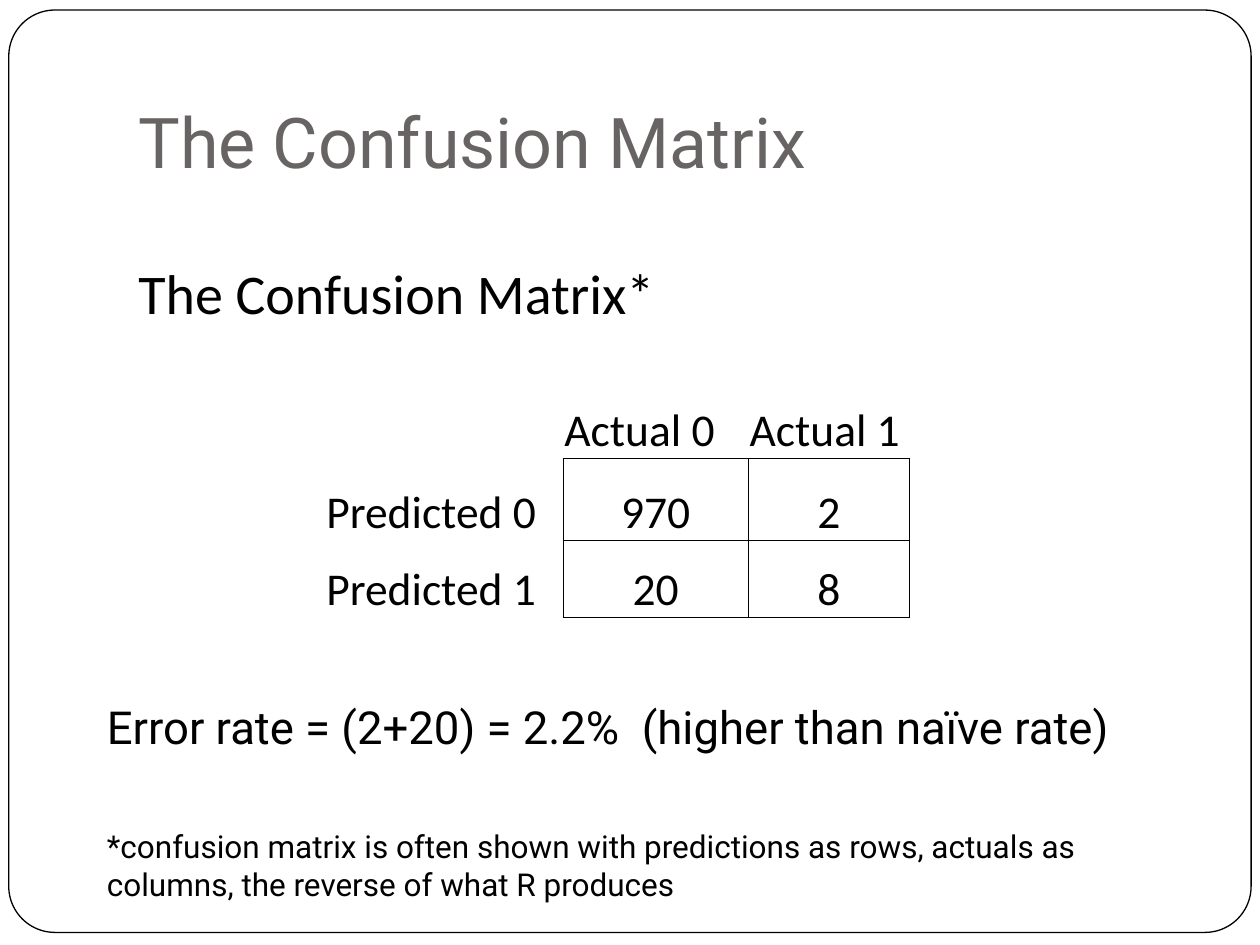
"""Build the confusion matrix slide."""
from lxml.etree import SubElement
from pptx import Presentation
from pptx.dml.color import RGBColor
from pptx.enum.shapes import MSO_SHAPE
from pptx.enum.text import MSO_ANCHOR, PP_ALIGN
from pptx.oxml.ns import qn
from pptx.util import Inches, Pt

COLORS = {"title": "696464", "text": "000000", "line": "000000", "background": "FFFFFF"}


def format_text(paragraph, font_name, size, color="text"):
    for run in paragraph.runs:
        run.font.name = font_name
        run.font.size = Pt(size)
        run.font.color.rgb = RGBColor.from_string(COLORS[color])


def add_cell_border(cell, side):
    line = SubElement(cell._tc.get_or_add_tcPr(), qn(f"a:ln{side}"), w=str(Pt(0.75)))
    fill = SubElement(line, qn("a:solidFill"))
    SubElement(fill, qn("a:srgbClr"), val=COLORS["line"])


presentation = Presentation()
presentation.slide_width = Inches(10)
presentation.slide_height = Inches(7.5)
slide = presentation.slides.add_slide(presentation.slide_layouts[6])

frame = slide.shapes.add_shape(
    MSO_SHAPE.ROUNDED_RECTANGLE, Inches(0.07), Inches(0.08), Inches(9.86), Inches(7.32)
)
frame.adjustments[0] = 0.05
frame.shadow.inherit = False
frame.fill.solid()
frame.fill.fore_color.rgb = RGBColor.from_string(COLORS["background"])
frame.line.color.rgb = RGBColor.from_string(COLORS["line"])
frame.line.width = Pt(0.75)

text_boxes = [
    ((1, 0.3, 8.5, 1.25), MSO_ANCHOR.BOTTOM, 0.1,
     [("The Confusion Matrix", "Roboto", 40, "title", 0)]),
    ((0.75, 5.5, 8.75, 1.33), MSO_ANCHOR.TOP, 0.05,
     [("Error rate = (2+20) = 2.2%  (higher than naïve rate)", "Roboto", 26, "text", 0),
      ("*confusion matrix is often shown with predictions as rows, actuals as columns, "
       "the reverse of what R produces", "Roboto", 18, "text", 42)]),
    ((1, 2, 6.58, 0.64), MSO_ANCHOR.TOP, 0.05,
     [("The Confusion Matrix*", "Calibri", 32, "text", 0)]),
]
for position, anchor, bottom_margin, lines in text_boxes:
    text_box = slide.shapes.add_textbox(*map(Inches, position))
    text_frame = text_box.text_frame
    text_frame.word_wrap = True
    text_frame.vertical_anchor = anchor
    text_frame.margin_bottom = Inches(bottom_margin)
    text_frame.text = "\n".join(line[0] for line in lines)
    for paragraph, (_, font_name, size, color, space_before) in zip(text_frame.paragraphs, lines):
        paragraph.space_before = Pt(space_before)
        format_text(paragraph, font_name, size, color)

matrix = [
    ["", "Actual 0", "Actual 1"],
    ["Predicted 0", "970", "2"],
    ["Predicted 1", "20", "8"],
]
table = slide.shapes.add_table(
    3, 3, Inches(2.58), Inches(3.17), Inches(4.64), Inches(1.73)
).table
table.first_row = False
table.horz_banding = False
for column, width in zip(table.columns, (1.89, 1.47, 1.28)):
    column.width = Inches(width)
for row, height in zip(table.rows, (0.47, 0.65, 0.61)):
    row.height = Inches(height)

for row_index, values in enumerate(matrix):
    for column_index, value in enumerate(values):
        cell = table.cell(row_index, column_index)
        is_count = row_index > 0 and column_index > 0
        cell.text = value
        cell.vertical_anchor = MSO_ANCHOR.BOTTOM
        cell.margin_left = cell.margin_right = cell.margin_top = Inches(0.01)
        cell.margin_bottom = 0
        paragraph = cell.text_frame.paragraphs[0]
        paragraph.alignment = PP_ALIGN.CENTER if is_count else PP_ALIGN.LEFT
        format_text(paragraph, "Calibri", 26)
        if is_count:
            sides = "LRTB"
        elif column_index > 0:
            sides = "B"
        else:
            sides = "R" if row_index > 0 else ""
        for side in sides:
            add_cell_border(cell, side)
        cell.fill.background()

presentation.save("out.pptx")
